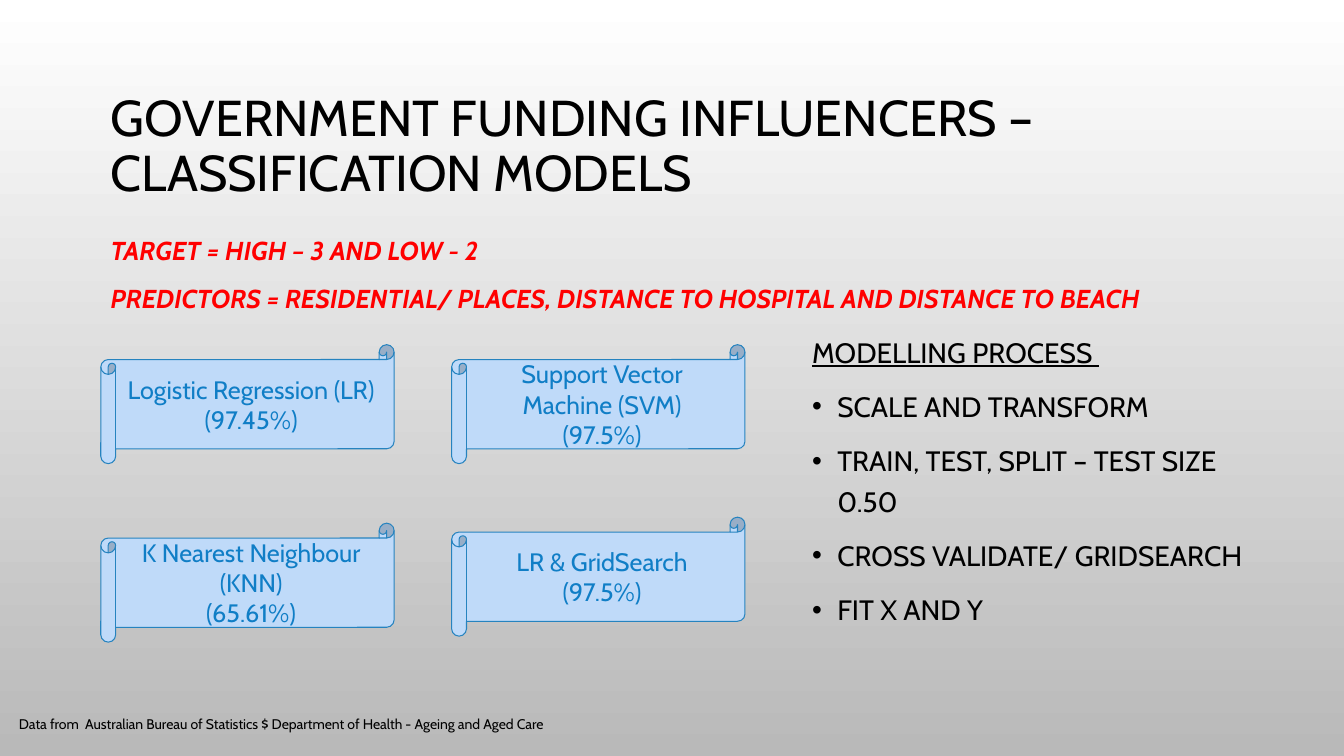
from pptx import Presentation
from pptx.dml.color import RGBColor
from pptx.enum.shapes import MSO_SHAPE
from pptx.enum.text import MSO_ANCHOR, PP_ALIGN
from pptx.oxml.ns import qn
from pptx.util import Pt
from lxml import etree

SCROLL = MSO_SHAPE.HORIZONTAL_SCROLL
TOP, MIDDLE = MSO_ANCHOR.TOP, MSO_ANCHOR.MIDDLE
CENTER = PP_ALIGN.CENTER

WHITE = RGBColor(0xFF, 0xFF, 0xFF)
GREY = RGBColor(0xB9, 0xB9, 0xB9)
BLACK = RGBColor(0, 0, 0)
RED = RGBColor(0xFF, 0, 0)
PALE_BLUE = RGBColor(0xBF, 0xDA, 0xF9)
LINE_BLUE = RGBColor(0x26, 0x83, 0xBF)
TEXT_BLUE = RGBColor(0x10, 0x7E, 0xC6)

FONT = "Cabin"
LEFT, FULL_WIDTH = 72, 816
SCROLL_LEFTS = (72, 322.6)
SCROLL_WIDTH, SCROLL_HEIGHT = 209.5, 85
INDENT = Pt(18)

MODELS = [
    (0, 246.2, "Logistic Regression (LR)", "(97.45%)"),
    (1, 246.2, "Support Vector Machine (SVM)", "(97.5%)"),
    (0, 373.7, "K Nearest Neighbour (KNN)", "(65.61%)"),
    (1, 369.4, "LR & GridSearch", "(97.5%)"),
]
TARGETS = [
    "TARGET = HIGH – 3 AND LOW - 2",
    "PREDICTORS = RESIDENTIAL/ PLACES, DISTANCE TO HOSPITAL AND DISTANCE TO BEACH",
]
PROCESS = [
    "MODELLING PROCESS ",
    "SCALE AND TRANSFORM",
    "TRAIN, TEST, SPLIT – TEST SIZE 0.50",
    "CROSS VALIDATE/ GRIDSEARCH",
    "FIT X AND Y",
]


def paint_background(slide):
    fill = slide.background.fill
    fill.gradient()
    fill.gradient_angle = 270
    for stop, position, color in zip(fill.gradient_stops, (0, 1), (WHITE, GREY)):
        stop.position = position
        stop.color.rgb = color


def write(tf, lines, size, color, anchor=TOP, spacing=1.0, before=0):
    tf.word_wrap = True
    tf.vertical_anchor = anchor
    tf.text = "\n".join(lines)
    for p in tf.paragraphs:
        p.line_spacing = spacing
        p.space_before = Pt(before)
        for r in p.runs:
            r.font.name = FONT
            r.font.size = Pt(size)
            r.font.color.rgb = color


def add_text(slide, left, top, width, height, lines, size, color, **layout):
    sp = slide.shapes.add_textbox(Pt(left), Pt(top), Pt(width), Pt(height))
    write(sp.text_frame, lines, size, color, **layout)
    return sp.text_frame


def add_bullet(p):
    pPr = p._p.get_or_add_pPr()
    pPr.set("marL", str(INDENT))
    pPr.set("indent", str(-INDENT))
    font = etree.SubElement(pPr, qn("a:buFont"))
    font.set("typeface", "Arial")
    bullet = etree.SubElement(pPr, qn("a:buChar"))
    bullet.set("char", "•")


def add_model(slide, column, top, name, score):
    sp = slide.shapes.add_shape(SCROLL, Pt(SCROLL_LEFTS[column]), Pt(top),
                                Pt(SCROLL_WIDTH), Pt(SCROLL_HEIGHT))
    sp.shadow.inherit = False
    sp.fill.solid()
    sp.fill.fore_color.rgb = PALE_BLUE
    sp.line.color.rgb = LINE_BLUE
    sp.line.width = Pt(0.75)
    write(sp.text_frame, [name, score], 18, TEXT_BLUE, anchor=MIDDLE)
    for p in sp.text_frame.paragraphs:
        p.alignment = CENTER


def add_targets(slide):
    tf = add_text(slide, LEFT, 162, FULL_WIDTH, 69, TARGETS, 18.5, RED,
                  spacing=1.1, before=10)
    for p in tf.paragraphs:
        for r in p.runs:
            r.font.bold = True
            r.font.italic = True


def add_process(slide):
    tf = add_text(slide, 573, 231, 339, 247.7, PROCESS, 20, BLACK,
                  spacing=1.2, before=10)
    heading, *steps = tf.paragraphs
    heading.runs[0].font.underline = True
    for p in steps:
        add_bullet(p)


def main():
    prs = Presentation()
    prs.slide_width, prs.slide_height = Pt(960), Pt(540)
    slide = prs.slides.add_slide(prs.slide_layouts[6])
    paint_background(slide)
    add_text(slide, LEFT, 49, FULL_WIDTH, 113,
             ["GOVERNMENT FUNDING INFLUENCERS – CLASSIFICATION MODELS"],
             36, BLACK, anchor=MIDDLE, spacing=0.9)
    add_targets(slide)
    for model in MODELS:
        add_model(slide, *model)
    add_process(slide)
    add_text(slide, 6.5, 502.6, 525.6, 28.8,
             ["Data from  Australian Bureau of Statistics $ Department of Health"
              " - Ageing and Aged Care"], 10, BLACK, anchor=MIDDLE)
    prs.save("out.pptx")


if __name__ == "__main__":
    main()
